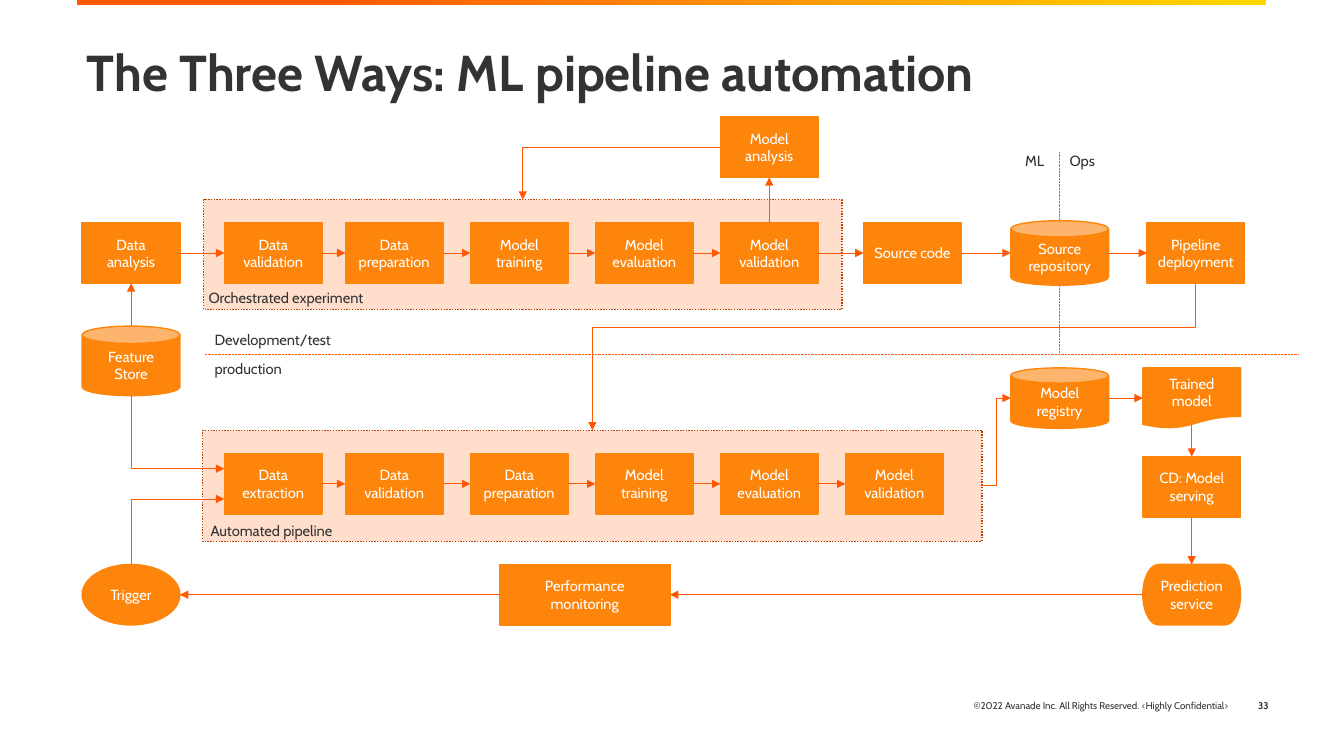
import pptx
import pptx.dml.color
import pptx.enum.dml
import pptx.enum.shapes
import pptx.enum.text
import pptx.oxml
import pptx.oxml.ns
import pptx.util

SHAPE = pptx.enum.shapes.MSO_SHAPE
ALIGN = pptx.enum.text.PP_ALIGN
ANCHOR = pptx.enum.text.MSO_ANCHOR
DOTTED = pptx.enum.dml.MSO_LINE.ROUND_DOT
inch = pptx.util.Inches

FONT = "Cabin"
INK, WHITE = "333333", "FFFFFF"
NODE, ARROW = "FD850C", "FF5800"
FRAME, FRAME_EDGE = "FFDECC", "BD4100"

# Centres of the grid's columns and rows, in inches
STEP_COLUMNS = [2.71] + [3.91 + 1.24 * i for i in range(5)]
STORE, CODE, REGISTRY, RELEASE, DEPLOYMENT = 1.3, 9.05, 10.51, 11.82, 11.86
ANALYSIS_ROW, DEV_ROW, DIVIDER, REGISTRY_ROW = 1.46, 2.51, 3.52, 3.95
PROD_ROW, SERVING_ROW, MONITOR_ROW = 4.8, 4.83, 5.9
NODE_WIDTH, NODE_HEIGHT = 0.97, 0.6

ROTATIONS = {"right": 0, "down": 90, "left": 180, "up": 270}


def colour(hex_code):
    return pptx.dml.color.RGBColor.from_string(hex_code)


def write(frame, text, size, ink, align=ALIGN.LEFT, anchor=ANCHOR.TOP, bold=False):
    frame.word_wrap = True
    frame.vertical_anchor = anchor
    paragraph = frame.paragraphs[0]
    paragraph.text = text
    paragraph.alignment = align
    font = paragraph.font
    font.name, font.size, font.bold = FONT, pptx.util.Pt(size), bold
    font.color.rgb = colour(ink)


def label(slide, text, left, top, width, height=0.29, size=10.5, **style):
    box = slide.shapes.add_textbox(inch(left), inch(top), inch(width), inch(height))
    write(box.text_frame, text, size, INK, **style)


def block(slide, kind, left, top, width, height, fill, edge):
    shape = slide.shapes.add_shape(kind, inch(left), inch(top), inch(width), inch(height))
    shape.shadow.inherit = False
    shape.fill.solid()
    shape.fill.fore_color.rgb = colour(fill)
    shape.line.color.rgb = colour(edge)
    shape.line.width = pptx.util.Pt(1)
    return shape


def stage_frame(slide, left, top, width, height):
    shape = block(slide, SHAPE.RECTANGLE, left, top, width, height, FRAME, FRAME_EDGE)
    shape.line.dash_style = DOTTED
    return shape


def node(slide, text, column, row, kind=SHAPE.RECTANGLE, width=NODE_WIDTH, height=NODE_HEIGHT):
    """Add a labelled block centred on a column and a row."""
    shape = block(slide, kind, column - width / 2, row - height / 2, width, height, NODE, NODE)
    write(shape.text_frame, text, 10.5, WHITE, ALIGN.CENTER, ANCHOR.MIDDLE)
    return shape


def edge(shape, side, shift=0):
    """Return the middle of a side; shift moves it down by some inches."""
    across = {"left": 0, "right": 1}.get(side, 0.5)
    along = {"up": 0, "down": 1}.get(side, 0.5)
    return (shape.left + int(shape.width * across),
            shape.top + int(shape.height * along) + inch(shift))


def line(slide, start, end, kind=pptx.enum.shapes.MSO_CONNECTOR.STRAIGHT):
    connector = slide.shapes.add_connector(kind, *start, *end)
    connector.line.color.rgb = colour(ARROW)
    connector.line.width = pptx.util.Pt(0.5)
    pptx.oxml.ns.qn("a:effectLst")
    connector._element.spPr.append(xml_element("a:effectLst"))
    return connector


def xml_element(tag, attributes=""):
    return pptx.oxml.parse_xml(f"<{tag} {attributes} {pptx.oxml.ns.nsdecls('a')}/>")


def add_head(connector):
    connector.line._get_or_add_ln().append(xml_element("a:tailEnd", 'type="triangle"'))


def arrow(slide, start, end):
    add_head(line(slide, start, end))


def bent_arrow(slide, start, end, heading, bends, turn=0.5):
    """Leave start along heading; with two bends, turn is the share of the way to the first."""
    connector = line(slide, start, end, pptx.enum.shapes.MSO_CONNECTOR.ELBOW)
    add_head(connector)
    dx, dy = end[0] - start[0], end[1] - start[1]
    sideways = {"right": dy, "down": -dx, "left": -dy, "up": dx}[heading]
    length, breadth = (abs(dx), abs(dy)) if heading in ("left", "right") else (abs(dy), abs(dx))
    connector.left = (start[0] + end[0] - length) // 2
    connector.top = (start[1] + end[1] - breadth) // 2
    connector.width, connector.height = length, breadth
    transform = connector._element.spPr.find(pptx.oxml.ns.qn("a:xfrm"))
    transform.set("rot", str(ROTATIONS[heading] * 60000))
    transform.set("flipH", "0")
    transform.set("flipV", "1" if sideways < 0 else "0")
    geometry = connector._element.spPr.find(pptx.oxml.ns.qn("a:prstGeom"))
    geometry.set("prst", f"bentConnector{bends + 1}")
    if bends == 2:
        guide = xml_element("a:gd", f'name="adj1" fmla="val {round(turn * 100000)}"')
        geometry.find(pptx.oxml.ns.qn("a:avLst")).append(guide)


def chain(slide, nodes):
    """Join neighbouring nodes of a row from left to right."""
    for source, target in zip(nodes, nodes[1:]):
        start, end = edge(source, "right"), edge(target, "left")
        arrow(slide, start, (end[0], start[1]))


def add_page_furniture(slide):
    bar = block(slide, SHAPE.RECTANGLE, 0.76, 0, 11.8, 0.05, ARROW, ARROW)
    bar.line.fill.background()
    bar.fill.gradient()
    bar.fill.gradient_angle = 0
    for stop, (place, shade) in zip(bar.fill.gradient_stops, [(0.2, ARROW), (1, "FFD700")]):
        stop.position = place
        stop.color.rgb = colour(shade)
    footer = dict(height=0.4, size=7, align=ALIGN.RIGHT, anchor=ANCHOR.MIDDLE)
    label(slide, "©2022 Avanade Inc. All Rights Reserved. <Highly Confidential>",
          7.78, 6.8, 4.5, **footer)
    label(slide, "33", 12.2, 6.8, 0.48, bold=True, **footer)
    title = slide.shapes.title
    title.left, title.top, title.width, title.height = map(inch, (0.76, 0.43, 11.79, 1.09))
    write(title.text_frame, "The Three Ways: ML pipeline automation", 36, INK, bold=True)
    title.text_frame.paragraphs[0].line_spacing = 0.9


def add_dividers(slide):
    for start, end in [((REGISTRY, 1.51), (REGISTRY, DIVIDER)), ((2.03, DIVIDER), (12.88, DIVIDER))]:
        line(slide, tuple(map(inch, start)), tuple(map(inch, end))).line.dash_style = DOTTED
    label(slide, "Development/test", 2.03, DIVIDER - 0.29, 2.57)
    label(slide, "production", 2.03, DIVIDER, 2.57)
    label(slide, "ML", 10.07, ANALYSIS_ROW, 0.57)
    label(slide, "Ops", REGISTRY, ANALYSIS_ROW, 0.57)


def add_development(slide):
    """Draw the upper flow and return its last node."""
    experiment = stage_frame(slide, 2.02, 1.98, 6.33, 1.09)
    label(slide, "Orchestrated experiment", 1.97, 2.82, 2.57)
    names = ["Data validation", "Data preparation", "Model training",
             "Model evaluation", "Model validation"]
    steps = [node(slide, name, column, DEV_ROW) for name, column in zip(names, STEP_COLUMNS)]
    analysis = node(slide, "Model analysis", STEP_COLUMNS[4], ANALYSIS_ROW)
    code = node(slide, "Source code", CODE, DEV_ROW)
    repository = node(slide, "Source repository", REGISTRY, DEV_ROW, SHAPE.CAN, height=0.64)
    deployment = node(slide, "Pipeline deployment", DEPLOYMENT, DEV_ROW)
    chain(slide, steps + [code, repository, deployment])
    arrow(slide, edge(steps[-1], "up"), edge(analysis, "down"))
    bent_arrow(slide, edge(analysis, "left"), edge(experiment, "up"), "left", 1)
    data_analysis = node(slide, "Data analysis", STORE, DEV_ROW)
    chain(slide, [data_analysis, steps[0]])
    return data_analysis, deployment


def add_production(slide, data_analysis, deployment):
    pipeline = stage_frame(slide, 2.01, 4.27, 7.73, 1.1)
    label(slide, "Automated pipeline", 1.99, 5.13, 2.57)
    names = ["Data extraction", "Data validation", "Data preparation",
             "Model training", "Model evaluation", "Model validation"]
    steps = [node(slide, name, column, PROD_ROW) for name, column in zip(names, STEP_COLUMNS)]
    registry = node(slide, "Model registry", REGISTRY, REGISTRY_ROW, SHAPE.CAN)
    model = node(slide, "Trained model", RELEASE, REGISTRY_ROW, SHAPE.FLOWCHART_DOCUMENT)
    serving = node(slide, "CD: Model serving", RELEASE, SERVING_ROW)
    service = node(slide, "Prediction service", RELEASE, MONITOR_ROW, SHAPE.FLOWCHART_TERMINATOR)
    monitoring = node(slide, "Performance monitoring", 5.8, MONITOR_ROW, width=1.69)
    trigger = node(slide, "Trigger", STORE, MONITOR_ROW, SHAPE.OVAL)
    store = node(slide, "Feature Store", STORE, 3.58, SHAPE.CAN, height=0.69)
    chain(slide, steps)
    chain(slide, [registry, model])
    arrow(slide, edge(model, "down", -0.03), edge(serving, "up"))
    arrow(slide, edge(serving, "down"), edge(service, "up"))
    arrow(slide, edge(service, "left"), edge(monitoring, "right"))
    arrow(slide, edge(monitoring, "left"), edge(trigger, "right"))
    arrow(slide, edge(store, "up"), edge(data_analysis, "down"))
    bent_arrow(slide, edge(deployment, "down"), edge(pipeline, "up"), "down", 2, 0.3)
    bent_arrow(slide, edge(pipeline, "right"), edge(registry, "left"), "right", 2)
    bent_arrow(slide, edge(store, "down"), edge(steps[0], "left", -0.15), "down", 1)
    bent_arrow(slide, edge(trigger, "up"), edge(steps[0], "left", 0.15), "up", 1)


def main():
    deck = pptx.Presentation()
    deck.slide_width, deck.slide_height = inch(13.33), inch(7.5)
    slide = deck.slides.add_slide(deck.slide_layouts[5])
    add_page_furniture(slide)
    add_dividers(slide)
    data_analysis, deployment = add_development(slide)
    add_production(slide, data_analysis, deployment)
    deck.save("out.pptx")


if __name__ == "__main__":
    main()
